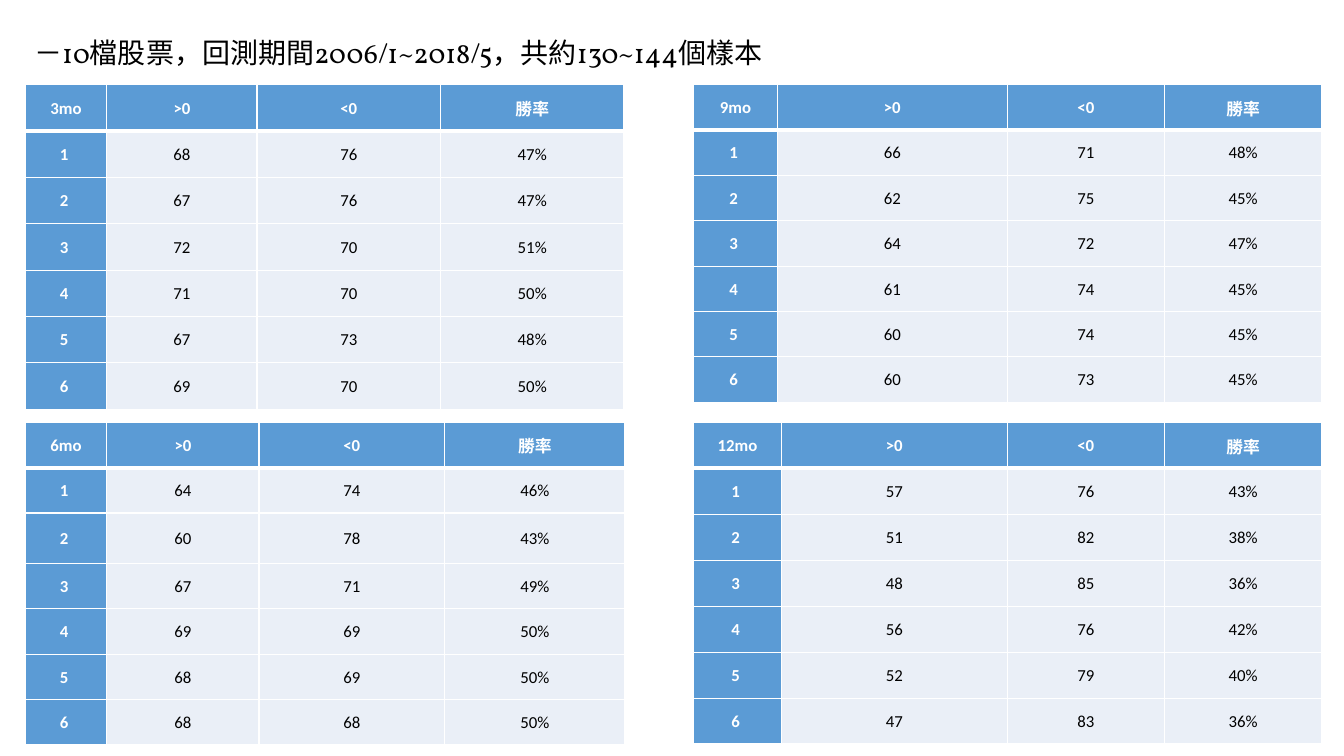
from lxml import etree
from pptx import Presentation
from pptx.dml.color import RGBColor
from pptx.enum.text import MSO_ANCHOR, PP_ALIGN
from pptx.oxml.ns import qn
from pptx.util import Inches, Pt

MIDDLE = MSO_ANCHOR.MIDDLE
LEFT = PP_ALIGN.LEFT
CENTER = PP_ALIGN.CENTER

WHITE, BLACK, BLUE, PALE = "FFFFFF", "000000", "5B9BD5", "EAEFF7"
TITLE = "－10檔股票，回測期間2006/1~2018/5，共約130~144個樣本"

RESULTS = [
    {
        "period": "3mo", "left": 0.25, "top": 0.84,
        "widths": [0.81, 1.49, 1.82, 1.82], "heights": [0.46] * 7,
        "counts": [(68, 76), (67, 76), (72, 70), (71, 70), (67, 73), (69, 70)],
    },
    {
        "period": "6mo", "left": 0.25, "top": 4.19,
        "widths": [0.81, 1.51, 1.84, 1.79], "heights": [0.45] * 2 + [0.5] + [0.45] * 4,
        "counts": [(64, 74), (60, 78), (67, 71), (69, 69), (68, 69), (68, 68)],
    },
    {
        "period": "9mo", "left": 6.88, "top": 0.84,
        "widths": [0.83, 2.28, 1.56, 1.56], "heights": [0.45] * 7,
        "counts": [(66, 71), (62, 75), (64, 72), (61, 74), (60, 74), (60, 73)],
    },
    {
        "period": "12mo", "left": 6.88, "top": 4.19,
        "widths": [0.87, 2.24, 1.56, 1.56], "heights": [0.456] * 7,
        "counts": [(57, 76), (51, 82), (48, 85), (56, 76), (52, 79), (47, 83)],
    },
]


def color(value):
    return RGBColor.from_string(value)


def write(frame, text, font="Calibri", size=12, ink=BLACK, bold=False,
          align=CENTER, line_spacing=None):
    paragraph = frame.paragraphs[0]
    paragraph.alignment = align
    paragraph.line_spacing = line_spacing
    run = paragraph.add_run()
    run.text = text
    run.font.name = font
    run.font.size = Pt(size)
    run.font.bold = bold
    run.font.color.rgb = color(ink)


class ResultSlide:
    def __init__(self, presentation):
        self.slide = presentation.slides.add_slide(presentation.slide_layouts[6])
        self.line = 1
        self.header_line = 3

    def title(self, text, left, top, width, height):
        box = self.slide.shapes.add_textbox(
            Inches(left), Inches(top), Inches(width), Inches(height))
        frame = box.text_frame
        frame.word_wrap = True
        frame.vertical_anchor = MIDDLE
        write(frame, text, font="Vollkorn", size=20, align=LEFT, line_spacing=0.9)

    def borders(self, cell, top, bottom):
        properties = cell._tc.get_or_add_tcPr()
        sides = {"a:lnL": self.line, "a:lnR": self.line, "a:lnT": top, "a:lnB": bottom}
        for side, width in sides.items():
            border = etree.SubElement(properties, qn(side), w=str(Pt(width)))
            fill = etree.SubElement(border, qn("a:solidFill"))
            etree.SubElement(fill, qn("a:srgbClr"), val=WHITE)

    def cell(self, cell, text, row, column):
        heading = row == 0 or column == 0
        self.borders(cell,
                     top=self.header_line if row == 1 else self.line,
                     bottom=self.header_line if row == 0 else self.line)
        cell.fill.solid()
        cell.fill.fore_color.rgb = color(BLUE if heading else PALE)
        cell.vertical_anchor = MIDDLE
        cell.margin_left = cell.margin_right = cell.margin_top = Inches(0.01)
        cell.margin_bottom = 0
        write(cell.text_frame, text, ink=WHITE if heading else BLACK, bold=heading)

    def table(self, period, left, top, widths, heights, counts):
        rows = [[period, ">0", "<0", "勝率"]]
        for number, (gains, losses) in enumerate(counts, 1):
            rate = gains / (gains + losses)
            rows.append([f"{number} ", str(gains), str(losses), f"{rate:.0%}"])
        table = self.slide.shapes.add_table(
            len(rows), len(widths), Inches(left), Inches(top),
            Inches(sum(widths)), Inches(sum(heights))).table
        for column, width in zip(table.columns, widths):
            column.width = Inches(width)
        for table_row, height in zip(table.rows, heights):
            table_row.height = Inches(height)
        for row, values in enumerate(rows):
            for column, text in enumerate(values):
                self.cell(table.cell(row, column), text, row, column)


def main():
    presentation = Presentation()
    presentation.slide_width = Inches(13.33)
    presentation.slide_height = Inches(7.5)
    page = ResultSlide(presentation)
    for result in RESULTS:
        page.table(**result)
    page.title(TITLE, 0.24, 0.23, 12.18, 0.61)
    presentation.save("out.pptx")


if __name__ == "__main__":
    main()
